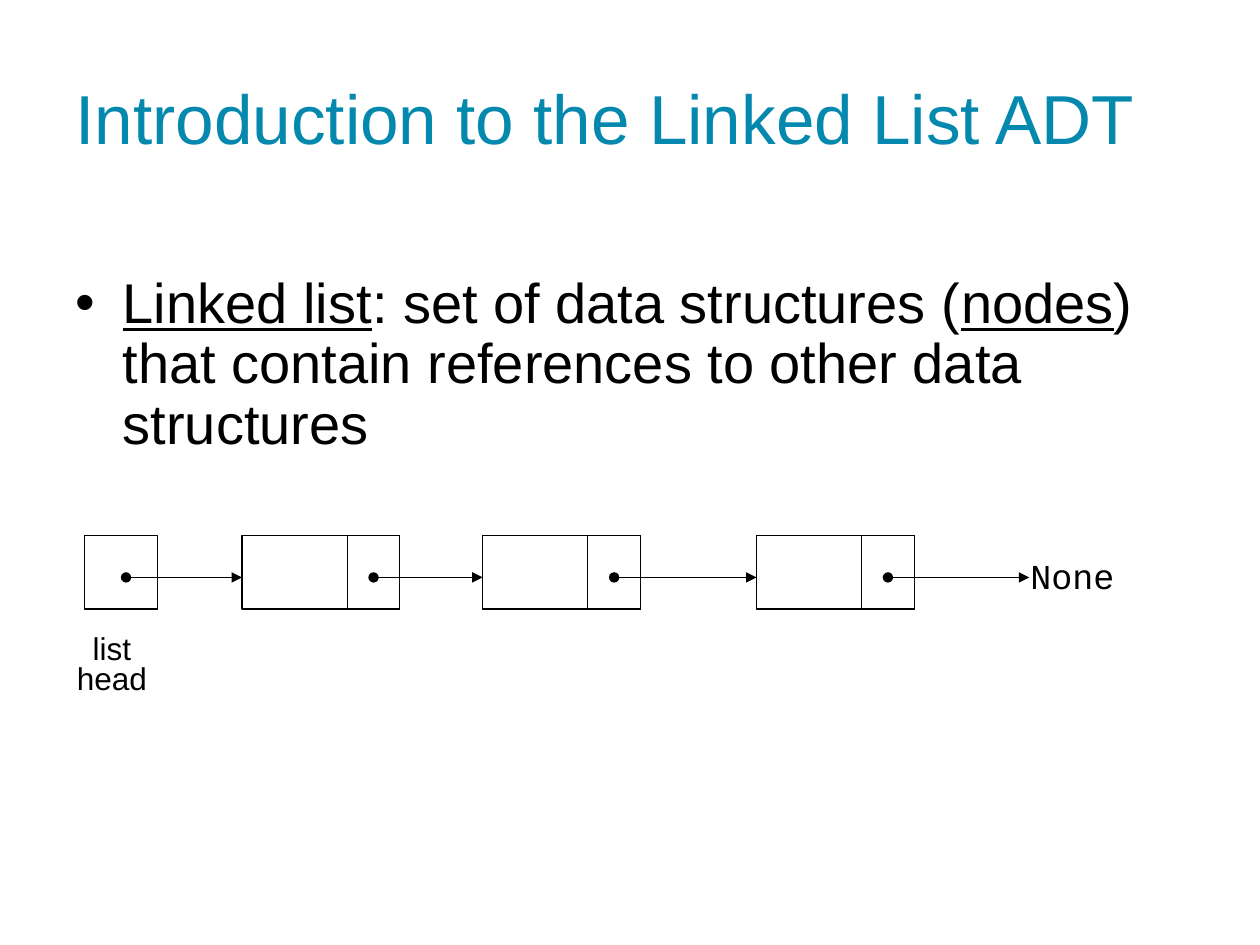
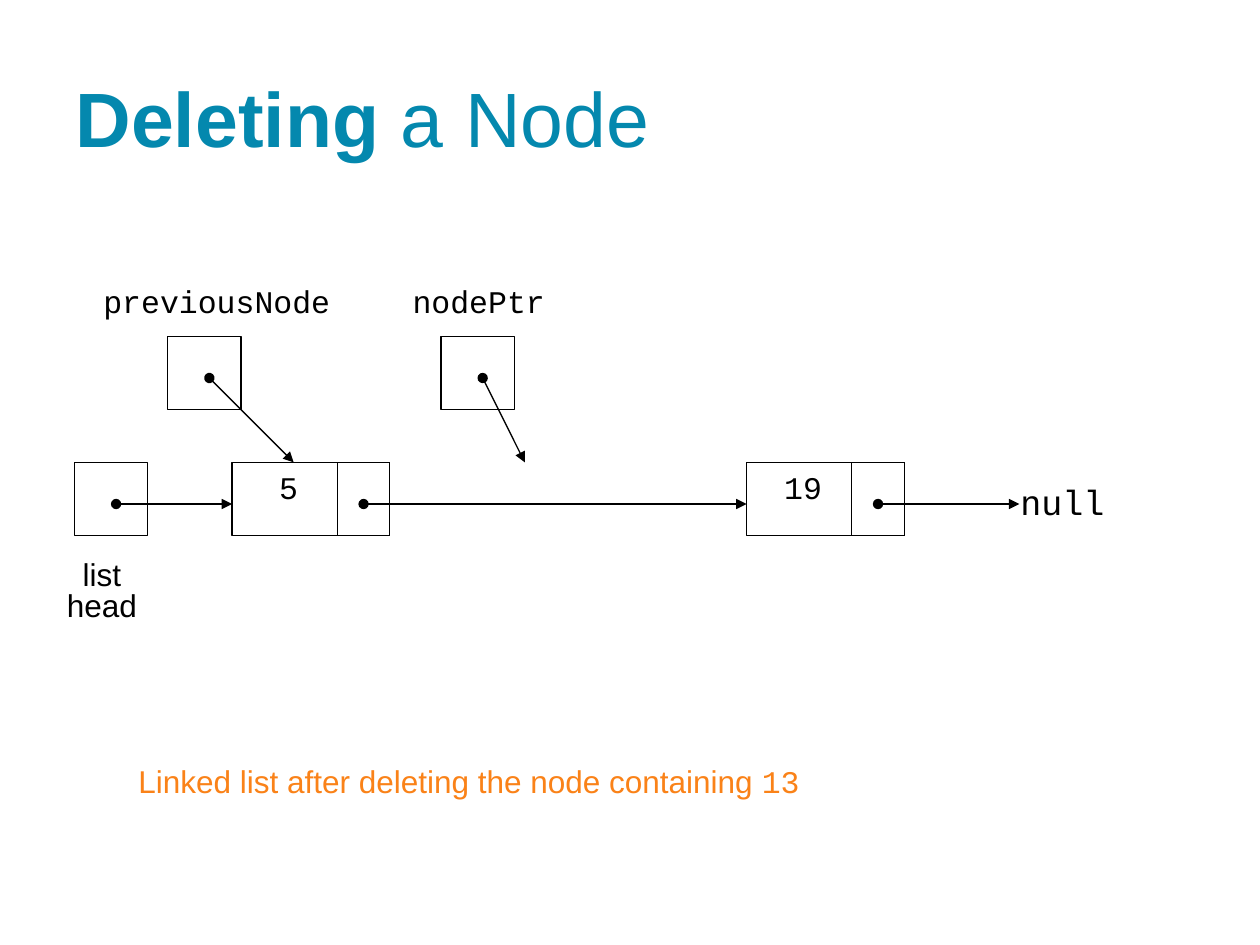
from dataclasses import dataclass

from lxml.etree import SubElement
from pptx import Presentation
from pptx.dml.color import RGBColor
from pptx.enum.shapes import MSO_CONNECTOR as Connector, MSO_SHAPE as Shape
from pptx.enum.text import MSO_ANCHOR as Anchor, MSO_AUTO_SIZE as AutoSize, PP_ALIGN as Align
from pptx.oxml.ns import qn
from pptx.util import Cm, Pt


@dataclass(frozen=True)
class Theme:
    title_color: RGBColor = RGBColor(0x04, 0x88, 0xAE)
    ink: RGBColor = RGBColor(0, 0, 0)
    caption_color: RGBColor = RGBColor(0xFA, 0x82, 0x18)
    sans: str = "Arial"
    mono: str = "Courier New"
    title_size: float = 44
    long_title_size: float = 39.6
    body_size: float = 32
    terminal_size: float = 20
    label_size: float = 18
    line_width: float = 0.75


THEME = Theme()

# Linked list geometry in cm
CELL = 1.48
NODE_WIDTH = 3.18
POINTER_WIDTH = 1.06
DOT = 0.84
COLUMNS = (3.18, 8.03, 13.55)
CHAIN_END = 19.05


def style_font(font, name, size, color):
    font.name, font.size = name, Pt(size)
    font.color.rgb = color


# Text
def add_runs(paragraph, runs):
    """Add (text, font attribute) pairs; the named attribute is switched on."""
    for text, attribute in runs:
        run = paragraph.add_run()
        run.text = text
        if attribute:
            setattr(run.font, attribute, True)


def set_title(slide, runs, size):
    title = slide.shapes.title
    title.left, title.top, title.width, title.height = Cm(1.27), Cm(0.76), Cm(22.86), Cm(3.18)
    frame = title.text_frame
    frame.auto_size, frame.vertical_anchor = AutoSize.NONE, Anchor.MIDDLE
    paragraph = frame.paragraphs[0]
    paragraph.alignment = Align.LEFT
    style_font(paragraph.font, THEME.sans, size, THEME.title_color)
    add_runs(paragraph, runs)


def set_bullet(slide, runs):
    body = slide.placeholders[1]
    body.left, body.top, body.width, body.height = Cm(1.27), Cm(5.41), Cm(22.23), Cm(4.04)
    body.text_frame.auto_size = AutoSize.NONE
    paragraph = body.text_frame.paragraphs[0]
    properties = paragraph._p.get_or_add_pPr()
    properties.set("marL", str(Cm(0.95)))
    properties.set("indent", str(-Cm(0.95)))
    SubElement(properties, qn("a:buChar")).set("char", "•")
    paragraph.line_spacing, paragraph.space_before = 0.9, Pt(0)
    style_font(paragraph.font, THEME.sans, THEME.body_size, THEME.ink)
    add_runs(paragraph, runs)


def add_label(slide, box, lines, name, size=THEME.label_size, spacing=1.0):
    label = slide.shapes.add_textbox(*map(Cm, box))
    frame = label.text_frame
    frame.word_wrap = False
    frame.text = "\n".join(lines)
    for paragraph in frame.paragraphs:
        paragraph.alignment, paragraph.line_spacing = Align.CENTER, spacing
        style_font(paragraph.font, name, size, THEME.ink)


def add_caption(slide, text, code):
    caption = slide.shapes.add_textbox(Cm(2.54), Cm(15.24), Cm(13.97), Cm(1.02))
    caption.text_frame.word_wrap = False
    paragraph = caption.text_frame.paragraphs[0]
    style_font(paragraph.font, THEME.sans, THEME.label_size, THEME.caption_color)
    add_runs(paragraph, [(text, None), (code, None)])
    paragraph.runs[-1].font.name = THEME.mono


# Diagram elements
def add_cell(slide, left, top, width=CELL):
    cell = slide.shapes.add_shape(Shape.RECTANGLE, Cm(left), Cm(top), Cm(width), Cm(CELL))
    cell.shadow.inherit = False
    cell.fill.background()
    cell.line.color.rgb = THEME.ink
    cell.line.width = Pt(THEME.line_width)


def add_arrow(slide, start, end):
    arrow = slide.shapes.add_connector(Connector.STRAIGHT, *map(Cm, (*start, *end)))
    arrow.line.color.rgb = THEME.ink
    arrow.line.width = Pt(THEME.line_width)
    line = arrow.line._get_or_add_ln()
    for tag, kind in (("a:headEnd", "oval"), ("a:tailEnd", "triangle")):
        SubElement(line, qn(tag)).set("type", kind)
    SubElement(arrow._element.spPr, qn("a:effectLst"))


def add_node(slide, left, top, value):
    add_cell(slide, left, top, NODE_WIDTH)
    add_cell(slide, left + NODE_WIDTH - POINTER_WIDTH, top, POINTER_WIDTH)
    if value:
        add_label(slide, (left + 0.38, top, 1.52, 1.27), [value], THEME.mono)


def add_pointer(slide, left, top, reach, name, label_left, label_width):
    """Draw a named pointer cell whose arrow goes reach = (right, down) from its dot."""
    add_label(slide, (label_left, top - 1.07, label_width, 1.07), [name], THEME.mono, spacing=0.8)
    add_cell(slide, left, top)
    dot = (left + DOT, top + DOT)
    add_arrow(slide, dot, (dot[0] + reach[0], dot[1] + reach[1]))


def add_linked_list(slide, left, top, nodes, terminal):
    """Draw the list head, a chain of (column, value) nodes and the terminal."""
    add_cell(slide, left, top)
    add_label(slide, (left - 0.64, top + 1.9, 2.39, 1.88), ["list", "head"], THEME.sans, spacing=0.8)
    starts = [left + COLUMNS[column] for column, _ in nodes]
    for start, (_, value) in zip(starts, nodes):
        add_node(slide, start, top, value)

    # Each dot points at the next node, the last one at the terminal
    dots = [left + DOT] + [start + NODE_WIDTH - POINTER_WIDTH / 2 + 0.1 - 0.1 for start in starts]
    end = left + CHAIN_END
    for dot, target in zip(dots, starts + [end]):
        add_arrow(slide, (dot, top + DOT), (target, top + DOT))
    add_label(slide, (end - 0.25, top + 0.08, 2.24, 1.24), [terminal], THEME.mono,
              THEME.terminal_size, 1.2)


# Slides
def build_introduction(presentation):
    slide = presentation.slides.add_slide(presentation.slide_layouts[1])
    set_title(slide, [("Introduction to the Linked List ADT", None)], THEME.long_title_size)
    set_bullet(slide, [
        ("Linked list", "underline"),
        (": set of data structures (", None),
        ("nodes", "underline"),
        (") that contain references to other data structures", None),
    ])
    add_linked_list(slide, 1.7, 10.8, [(0, ""), (1, ""), (2, "")], "None")


def build_deletion(presentation):
    slide = presentation.slides.add_slide(presentation.slide_layouts[5])
    set_title(slide, [("Deleting", "bold"), (" a Node", None)], THEME.title_size)
    add_linked_list(slide, 1.5, 9.32, [(0, "5"), (2, "19")], "null")
    add_pointer(slide, 3.38, 6.78, (1.7, 1.7), "previousNode", 1.07, 6.6)
    add_pointer(slide, 8.89, 6.78, (0.85, 1.7), "nodePtr", 7.62, 4.06)
    add_caption(slide, "Linked list after deleting the node containing ", "13")


def main():
    presentation = Presentation()
    presentation.slide_width, presentation.slide_height = Cm(25.4), Cm(19.05)
    build_introduction(presentation)
    build_deletion(presentation)
    presentation.save("out.pptx")


if __name__ == "__main__":
    main()
